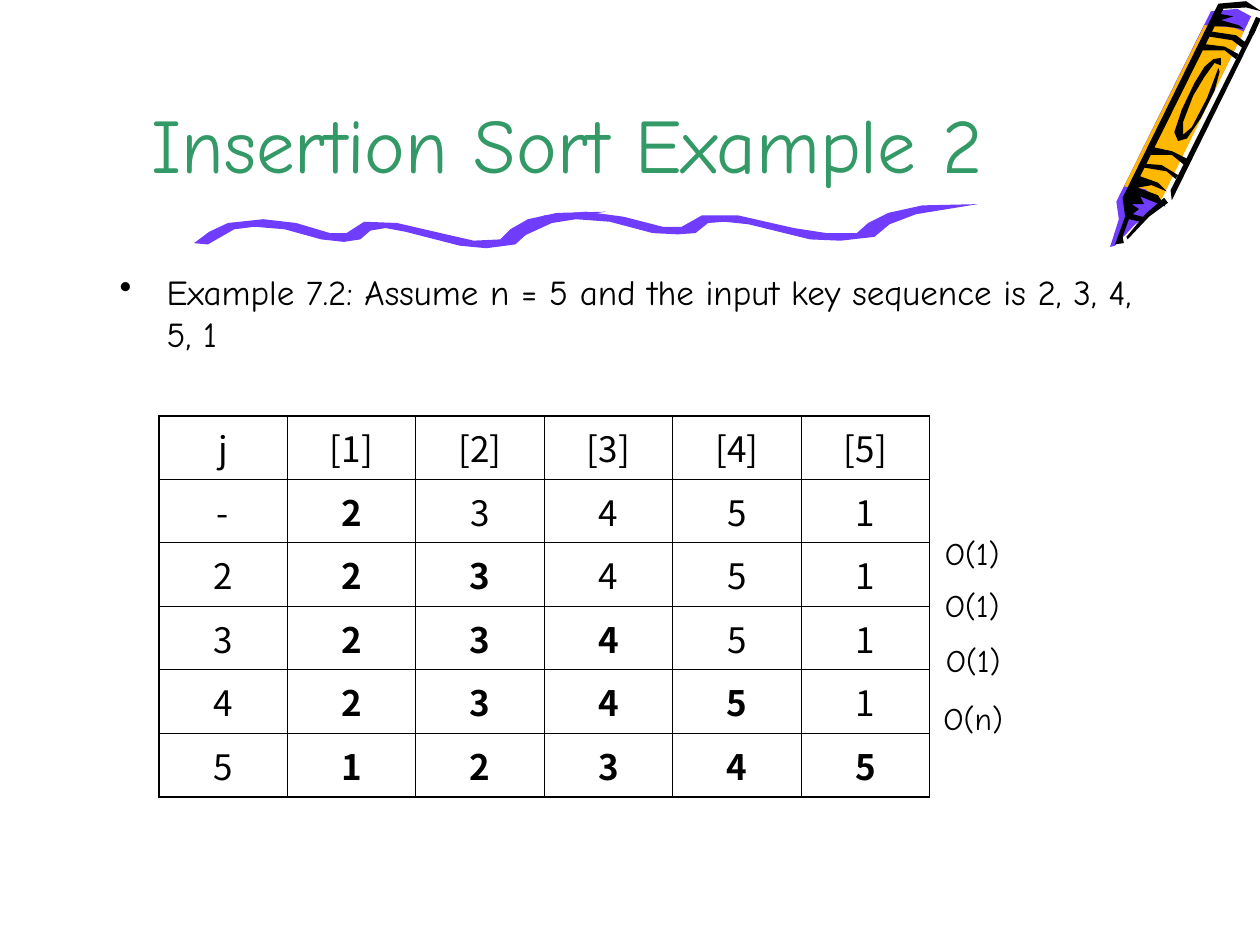
from lxml.etree import SubElement
from pptx import Presentation
from pptx.dml.color import RGBColor
from pptx.enum.shapes import MSO_CONNECTOR
from pptx.enum.text import MSO_ANCHOR, PP_ALIGN
from pptx.oxml.ns import qn
from pptx.util import Cm, Pt

BLACK = RGBColor(0x00, 0x00, 0x00)
GREEN = RGBColor(0x33, 0x99, 0x66)
PURPLE = RGBColor(0x70, 0x3D, 0xFF)
AMBER = RGBColor(0xFF, 0xB8, 0x00)
HAND_FONT = "Comic Neue"
TABLE_FONT = "Noto Sans CJK JP"
GRID = Cm(0.0254)  # drawing unit of the outlines
THIN, THICK = Pt(0.45), Pt(1.08)

# Crayon outlines, back to front
CRAYON = [
    (PURPLE, [(993, 13), (917, 166), (901, 178), (885, 195), (881, 196), (888, 174),
              (886, 160), (961, 9), (982, 7)]),
    (AMBER, [(921, 160), (909, 150), (892, 148), (956, 20), (979, 22), (987, 25)]),
    (BLACK, [(927, 161), (912, 172), (895, 190), (894, 188), (909, 170), (924, 157)]),
    (BLACK, [(987, 23), (973, 21), (961, 21), (968, 11), (979, 13), (969, 16), (983, 20)]),
    (BLACK, [(968, 57), (964, 72), (953, 94), (942, 110), (935, 112), (932, 105), (938, 87),
             (948, 66), (956, 53), (963, 47), (969, 46), (969, 52), (964, 50), (956, 61),
             (947, 76), (939, 97), (939, 107), (946, 101), (958, 78), (967, 54)]),
    (BLACK, [(997, 23), (930, 159), (929, 151), (993, 23)]),
    (BLACK, [(925, 164), (919, 155), (903, 149), (914, 147), (926, 152), (919, 145),
             (905, 140), (971, 7), (989, 6), (1001, 9), (989, 1), (967, 3), (891, 157),
             (893, 172), (885, 194), (892, 193), (891, 188), (896, 174), (905, 176),
             (910, 173), (899, 170), (904, 166), (898, 162), (908, 162), (905, 156)]),
    (BLACK, [(933, 142), (926, 136), (908, 133), (909, 130), (922, 131), (935, 139)]),
    (BLACK, [(940, 131), (930, 123), (913, 123), (916, 117), (930, 120), (942, 126)]),
    (BLACK, [(981, 47), (972, 40), (953, 40), (956, 35), (972, 37), (983, 43)]),
    (BLACK, [(986, 38), (978, 32), (959, 29), (961, 25), (981, 28), (989, 34)]),
]

# Two strokes of the wavy underline
UNDERLINE = [
    [(165, 194), (186, 182), (202, 180), (226, 182), (255, 190), (273, 192), (286, 190),
     (294, 183), (306, 181), (322, 184), (365, 195), (386, 197), (409, 194), (420, 184),
     (438, 175), (481, 168), (442, 169), (419, 174), (405, 182), (397, 190), (376, 191),
     (354, 186), (315, 177), (289, 176), (275, 185), (262, 185), (235, 177), (209, 174),
     (181, 177), (166, 184), (154, 193)],
    [(414, 188), (438, 177), (457, 174), (484, 176), (518, 185), (538, 186), (552, 185),
     (562, 177), (575, 176), (594, 178), (643, 190), (667, 191), (694, 188), (706, 178),
     (727, 170), (776, 162), (732, 163), (705, 169), (689, 177), (680, 185), (656, 185),
     (630, 181), (586, 171), (557, 171), (541, 180), (526, 180), (495, 172), (465, 168),
     (432, 171), (415, 178), (401, 188)],
]

SORT_STEPS = [
    ["j", "[1]", "[2]", "[3]", "[4]", "[5]"],
    ["-", "2", "3", "4", "5", "1"],
    ["2", "2", "3", "4", "5", "1"],
    ["3", "2", "3", "4", "5", "1"],
    ["4", "2", "3", "4", "5", "1"],
    ["5", "1", "2", "3", "4", "5"],
]

STEP_COSTS = [("O(1)", 18.8, 10.64), ("O(1)", 18.8, 11.68),
              ("O(1)", 18.82, 12.8), ("O(n)", 18.77, 13.97)]


def set_formats(target, formats):
    for name, value in formats.items():
        setattr(target, name, value)


class SlidePainter:
    def __init__(self, slide):
        self.slide = slide
        self.shapes = slide.shapes

    def fill_text(self, frame, text, color=BLACK, font=None, paragraph=None):
        line = frame.paragraphs[0]
        set_formats(line, paragraph or {})
        run = line.add_run()
        run.text = text
        set_formats(run.font, {"name": HAND_FONT, "size": Pt(20), "bold": False, **(font or {})})
        run.font.color.rgb = color
        return line

    def text(self, text, left, top, width, height, anchor=MSO_ANCHOR.TOP, **style):
        frame = self.shapes.add_textbox(Cm(left), Cm(top), Cm(width), Cm(height)).text_frame
        set_formats(frame, {"word_wrap": True, "vertical_anchor": anchor})
        return self.fill_text(frame, text, **style)

    def bullet(self, text, left, top, width, height, indent, **style):
        line = self.text(text, left, top, width, height, **style)
        props = line._p.get_or_add_pPr()
        props.set("marL", str(Cm(indent)))
        props.set("indent", str(-Cm(indent)))
        SubElement(props, qn("a:buChar")).set("char", "•")

    def outline(self, points, color):
        builder = self.shapes.build_freeform(*points[0], scale=GRID)
        builder.add_line_segments(points[1:], close=True)
        shape = builder.convert_to_shape()
        shape.shadow.inherit = False
        shape.fill.solid()
        shape.fill.fore_color.rgb = color
        shape.line.fill.background()

    def line(self, start, end, color, width):
        line = self.shapes.add_connector(
            MSO_CONNECTOR.STRAIGHT, *(Cm(value) for value in start + end))
        line.line.color.rgb = color
        line.line.width = width
        SubElement(line._element.spPr, qn("a:effectLst"))

    def borders(self, cell, widths):
        props = cell._tc.get_or_add_tcPr()
        for position, (side, width) in enumerate(widths.items()):
            border = props.makeelement(qn(f"a:ln{side}"), {"w": str(width)})
            fill = SubElement(border, qn("a:solidFill"))
            SubElement(fill, qn("a:srgbClr")).set("val", str(BLACK))
            props.insert(position, border)

    def table(self, rows, left, top, column_width, row_height):
        row_count, column_count = len(rows), len(rows[0])
        table = self.shapes.add_table(
            row_count, column_count, Cm(left), Cm(top),
            Cm(column_width * column_count), Cm(row_height * row_count)).table
        set_formats(table, {"first_row": False, "horz_banding": False})
        for column in table.columns:
            column.width = Cm(column_width)
        for r, row in enumerate(rows):
            table.rows[r].height = Cm(row_height)
            for c, value in enumerate(row):
                cell = table.cell(r, c)
                cell.fill.background()
                # The sorted part grows by one key per step
                self.fill_text(cell.text_frame, value,
                               font={"name": TABLE_FONT, "bold": 1 <= c <= r},
                               paragraph={"alignment": PP_ALIGN.CENTER, "space_before": Pt(5)})
                self.borders(cell, {
                    "L": THICK if c == 0 else THIN,
                    "R": THICK if c == column_count - 1 else THIN,
                    "T": THICK if r == 0 else THIN,
                    "B": THICK if r == row_count - 1 else THIN,
                })


def main():
    deck = Presentation()
    set_formats(deck, {"slide_width": Cm(25.4), "slide_height": Cm(19.05)})
    painter = SlidePainter(deck.slides.add_slide(deck.slide_layouts[6]))

    # Crayon
    for color, points in CRAYON:
        painter.outline(points, color)
    painter.line((25.37, 0.36), (25.22, 0.69), BLACK, Pt(3))

    # Underline
    for points in UNDERLINE:
        painter.outline(points, PURPLE)

    # Title and task
    painter.text("Insertion Sort Example 2", 1.9, 0, 19.08, 3.94, MSO_ANCHOR.BOTTOM,
                 color=GREEN, font={"size": Pt(44)},
                 paragraph={"alignment": PP_ALIGN.CENTER})
    painter.bullet("Example 7.2: Assume n = 5 and the input key sequence is 2, 3, 4, 5, 1",
                   2.16, 5.33, 21.29, 12.57, indent=0.95,
                   paragraph={"space_before": Pt(5)})

    # Sorting steps and their costs
    painter.table(SORT_STEPS, 3.2, 8.38, 2.59, 1.28)
    for cost, left, top in STEP_COSTS:
        painter.text(cost, left, top, 1.98, 1.02, font={"size": Pt(18)},
                     paragraph={"space_before": Pt(11.2)})

    deck.save("out.pptx")


if __name__ == "__main__":
    main()
